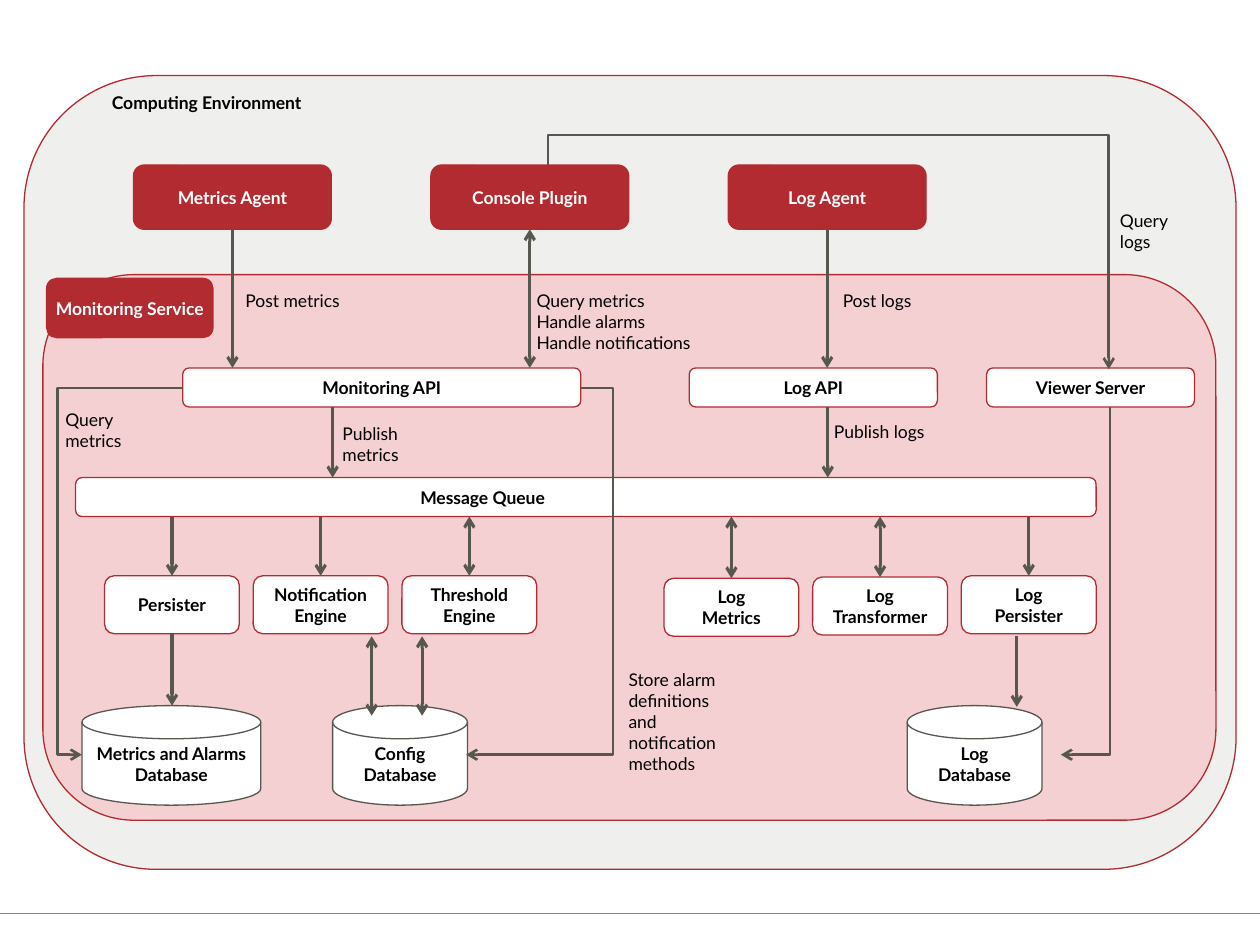
from lxml.etree import SubElement
from pptx import Presentation
from pptx.dml.color import RGBColor
from pptx.enum.shapes import MSO_CONNECTOR, MSO_SHAPE
from pptx.enum.text import MSO_ANCHOR, PP_ALIGN
from pptx.oxml.ns import qn
from pptx.util import Inches, Pt

RED = RGBColor(0xB2, 0x2B, 0x30)
PINK = RGBColor(0xF4, 0xD0, 0xD2)
PALE_GRAY = RGBColor(0xEF, 0xEF, 0xEE)
DARK_GRAY = RGBColor(0x57, 0x56, 0x4F)
RULE_GRAY = RGBColor(0x87, 0x86, 0x7E)
WHITE = RGBColor(0xFF, 0xFF, 0xFF)
BLACK = RGBColor(0, 0, 0)

ROUNDED = MSO_SHAPE.ROUNDED_RECTANGLE
DISK = MSO_SHAPE.FLOWCHART_MAGNETIC_DISK
TOP, BOTTOM = 0, 2

# Rows: top and height
AGENT_ROW = (1.31, 0.51)
API_ROW = (2.92, 0.31)
QUEUE_ROW = (3.79, 0.31)
ENGINE_ROW = (4.57, 0.46)
DATABASE_ROW = (5.6, 0.79)
AGENT_BOTTOM, API_BOTTOM, QUEUE_BOTTOM = (
    top + height for top, height in (AGENT_ROW, API_ROW, QUEUE_ROW))
AGENT_LEFT, AGENT_PITCH, AGENT_WIDTH = 1.06, 2.36, 1.57
ENGINE_PITCH, ENGINE_WIDTH = 1.18, 1.07


def write_text(shape, text, color=BLACK, bold=False, align=PP_ALIGN.LEFT, **frame_format):
    frame = shape.text_frame
    frame.text = text
    for name, value in {"word_wrap": True, **frame_format}.items():
        setattr(frame, name, value)
    for paragraph in frame.paragraphs:
        paragraph.alignment = align
        font_format = {"name": "Lato", "size": Pt(10), "bold": bold}
        for name, value in font_format.items():
            setattr(paragraph.font, name, value)
        paragraph.font.color.rgb = color


def add_box(slide, left, row, width, text="", fill=WHITE, line=RED, kind=ROUNDED,
            margin_right=0):
    top, height = row
    shape = slide.shapes.add_shape(
        kind, Inches(left), Inches(top), Inches(width), Inches(height))
    shape.shadow.inherit = False
    shape.fill.solid()
    shape.fill.fore_color.rgb = fill
    shape.line.color.rgb = line
    shape.line.width = Pt(0.75)
    if text:
        write_text(shape, text, WHITE if fill == RED else BLACK, True, PP_ALIGN.CENTER,
                   vertical_anchor=MSO_ANCHOR.MIDDLE, margin_left=0,
                   margin_right=Inches(margin_right))
    return shape


def add_label(slide, left, top, width, height, text, bold=False):
    label = slide.shapes.add_textbox(
        Inches(left), Inches(top), Inches(width), Inches(height))
    write_text(label, text, bold=bold, margin_right=0)


def add_line(slide, start, end, color=DARK_GRAY, width=1.75, kind=MSO_CONNECTOR.STRAIGHT,
             arrows=("tailEnd",)):
    connector = slide.shapes.add_connector(
        kind, *(Inches(value) for value in (*start, *end)))
    connector.line.color.rgb = color
    connector.line.width = Pt(width)
    properties = connector._element.spPr
    for arrow in arrows:
        SubElement(properties.find(qn("a:ln")), qn("a:" + arrow), type="arrow")
    SubElement(properties, qn("a:effectLst"))
    return connector


def add_arrow(slide, x, top, bottom, double=False, source=None, target=None):
    """Vertical arrow, joined to the boxes given as source and target."""
    arrows = ("headEnd", "tailEnd") if double else ("tailEnd",)
    joined = source or target
    if joined:
        x = (joined.left + joined.width / 2) / Inches(1)
    connector = add_line(slide, (x, top), (x, bottom), arrows=arrows)
    if source:
        connector.begin_connect(source, BOTTOM)
    if target:
        connector.end_connect(target, TOP)


def add_elbow(slide, start, end, bend=None, vertical=False):
    """Elbow arrow; bend is the share of the way at which it turns, None for one corner."""
    if vertical:
        # Lay the route on its side; a quarter turn puts it upright
        (x1, y1), (x2, y2) = start, end
        middle_x, middle_y = (x1 + x2) / 2, (y1 + y2) / 2
        half_length, half_rise = (y2 - y1) / 2, (x2 - x1) / 2
        start = (middle_x - half_length, middle_y + half_rise)
        end = (middle_x + half_length, middle_y - half_rise)
    connector = add_line(slide, start, end, width=1.5, kind=MSO_CONNECTOR.ELBOW)
    properties = connector._element.spPr
    geometry = properties.find(qn("a:prstGeom"))
    if vertical:
        properties.find(qn("a:xfrm")).set("rot", str(90 * 60000))
    if bend is None:
        geometry.set("prst", "bentConnector2")
    else:
        SubElement(geometry.find(qn("a:avLst")), qn("a:gd"), name="adj1",
                   fmla=f"val {round(bend * 100000)}")


def main():
    presentation = Presentation()
    presentation.slide_width, presentation.slide_height = Inches(10), Inches(7.5)
    slide = presentation.slides.add_slide(presentation.slide_layouts[6])

    # Footer rule and nested environments
    add_line(slide, (0, 7.25), (10, 7.25), RULE_GRAY, 1, arrows=())
    add_box(slide, 0.19, (0.6, 6.3), 9.62, fill=PALE_GRAY)
    add_box(slide, 0.34, (2.18, 4.33), 9.31, fill=PINK)
    add_box(slide, 0.37, (2.21, 0.47), 1.32, "Monitoring Service", RED)

    # Agents, interfaces and queue
    agents = [add_box(slide, AGENT_LEFT + i * AGENT_PITCH, AGENT_ROW, AGENT_WIDTH, name, RED)
              for i, name in enumerate(("Metrics Agent", "Console Plugin", "Log Agent"))]
    for left, width, name in ((1.45, 3.16, "Monitoring API"), (5.47, 1.97, "Log API"),
                              (7.83, 1.65, "Viewer Server")):
        add_box(slide, left, API_ROW, width, name)
    add_box(slide, 0.6, QUEUE_ROW, 8.1, "Message Queue", margin_right=1.64)

    # Engines: a metrics group and a log group
    engines = {}
    for first_left, tops, names in (
            (0.83, (4.57, 4.57, 4.57), ("Persister", "Notification\nEngine", "Threshold\nEngine")),
            (5.27, (4.59, 4.58, 4.57), ("Log\nMetrics", "Log\nTransformer", "Log\nPersister"))):
        for i, (top, name) in enumerate(zip(tops, names)):
            engines[name] = add_box(slide, first_left + i * ENGINE_PITCH,
                                    (top, ENGINE_ROW[1]), ENGINE_WIDTH, name)

    # Databases
    for left, width, name in ((0.65, 1.42, "Metrics and Alarms\nDatabase"),
                              (2.64, 1.07, "Config\nDatabase"), (7.2, 1.07, "Log\nDatabase")):
        add_box(slide, left, DATABASE_ROW, width, name, line=DARK_GRAY, kind=DISK)

    # Straight arrows, row by row
    for agent in agents:
        add_arrow(slide, None, AGENT_BOTTOM, API_ROW[0], agent is agents[1], source=agent)
    for x in (2.64, 6.57):
        add_arrow(slide, x, API_BOTTOM, QUEUE_ROW[0])
    two_way = ("Threshold\nEngine", "Log\nMetrics", "Log\nTransformer")
    for name, engine in engines.items():
        add_arrow(slide, None, QUEUE_BOTTOM, ENGINE_ROW[0], name in two_way, target=engine)
    add_arrow(slide, None, sum(ENGINE_ROW), DATABASE_ROW[0], source=engines["Persister"])
    for x, bottom, double in ((2.95, 5.68, True), (3.35, 5.68, True), (8.07, 5.61, False)):
        add_arrow(slide, x, 5.05, bottom, double)

    # Elbow arrows
    add_elbow(slide, (1.45, 3.08), (0.65, 5.99), 1.24)
    add_elbow(slide, (4.61, 3.08), (3.7, 5.99), -0.28)
    add_elbow(slide, (4.35, 1.32), (8.8, 2.93), -0.155, vertical=True)
    add_elbow(slide, (8.81, 3.23), (8.42, 5.99), vertical=True)

    # Labels
    add_label(slide, 0.79, 0.68, 5, 0.27, "Computing Environment", bold=True)
    for label in (
            (1.85, 2.25, 0.97, 0.27, "Post metrics"),
            (4.16, 2.25, 1.42, 0.61, "Query metrics\nHandle alarms\nHandle notifications"),
            (6.59, 2.25, 0.78, 0.27, "Post logs"),
            (8.79, 1.62, 0.62, 0.44, "Query\nlogs"),
            (6.52, 3.29, 0.95, 0.27, "Publish logs"),
            (4.89, 5.26, 1.14, 0.77, "Store alarm\ndefinitions\nand\nnotification\nmethods"),
            (0.42, 3.2, 0.69, 0.44, "Query\nmetrics"),
            (2.62, 3.31, 0.66, 0.44, "Publish\nmetrics")):
        add_label(slide, *label)

    presentation.save("out.pptx")


if __name__ == "__main__":
    main()
